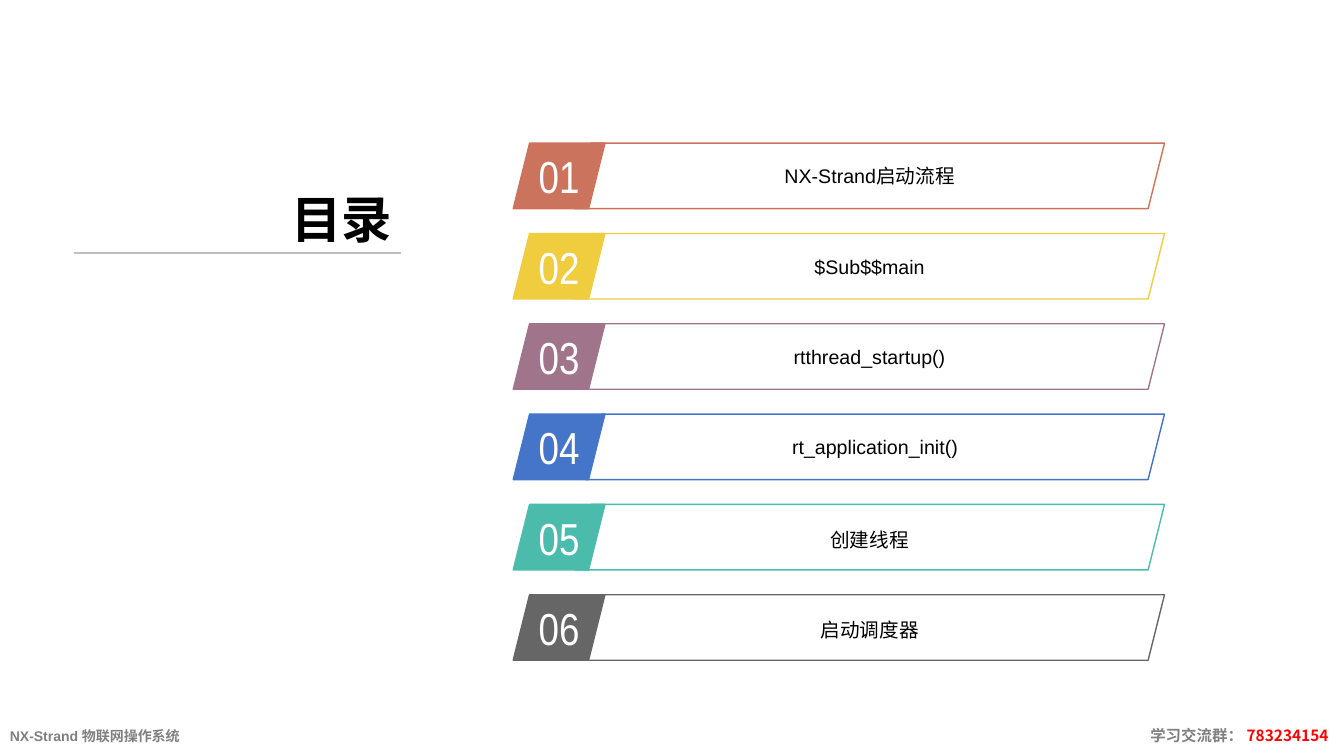
from lxml import etree
from pptx import Presentation
from pptx.dml.color import RGBColor
from pptx.enum.shapes import MSO_CONNECTOR, MSO_SHAPE
from pptx.enum.text import MSO_ANCHOR, PP_ALIGN
from pptx.oxml.ns import qn
from pptx.util import Inches, Pt

TITLE = "目录"
# label, colour, line spacing, left edge of the label frame
ITEMS = [
    ("NX-Strand启动流程", "coral", 1.0, 5.7),
    ("$Sub$$main", "yellow", 1.0, 5.7),
    ("rtthread_startup()", "mauve", 1.0, 5.7),
    ("rt_application_init()", "blue", 1.0, 5.81),
    ("创建线程", "teal", 1.2, 5.7),
    ("启动调度器", "dark", 1.2, 5.7),
]
BODY, NARROW, CJK = "Arial", "Arial Narrow", "Noto Sans CJK KR"
# text, size, font, colour
FOOTER = [
    ("NX-Strand 物联网操作系统\t", 10, BODY, "grey"),
    ("学习交流群： ", 11, BODY, "grey"),
    ("783234154", 11, CJK, "red"),
]
COLORS = {
    "coral": "CC735E", "yellow": "EFCD3F", "mauve": "A0758C",
    "blue": "4575C9", "teal": "4BBCAC", "dark": "666666",
    "rule": "BFBFBF", "grey": "808080", "red": "FF0000",
    "black": "000000", "white": "FFFFFF",
}
WIDTH, HEIGHT = 13.33, 7.5
FIRST_TOP, LAST_TOP, ROW_HEIGHT = 1.42, 5.9, 0.65
ROW_PITCH = (LAST_TOP - FIRST_TOP) / (len(ITEMS) - 1)
NUMBER_LEFT, NUMBER_WIDTH, LABEL_RIGHT = 5.09, 0.91, 11.55
FOOTER_HEIGHT, FOOTER_TAB = 0.4, 13.08
PARALLELOGRAM, STRAIGHT = MSO_SHAPE.PARALLELOGRAM, MSO_CONNECTOR.STRAIGHT
MIDDLE, BOTTOM = MSO_ANCHOR.MIDDLE, MSO_ANCHOR.BOTTOM
CENTER, LEFT, RIGHT = PP_ALIGN.CENTER, PP_ALIGN.LEFT, PP_ALIGN.RIGHT


def rgb(name):
    return RGBColor.from_string(COLORS[name])


def inches(*values):
    return [Inches(v) for v in values]


def style_run(r, size, font, color, bold=False):
    r.font.size, r.font.name, r.font.bold = Pt(size), font, bold
    r.font.color.rgb = rgb(color)
    latin = r._r.rPr.find(qn("a:latin"))
    ea = etree.Element(qn("a:ea"), typeface=CJK)
    latin.addnext(ea)


def set_text(sp, text, size, font, color, align, anchor, wrap, bold=False):
    tf = sp.text_frame
    tf.text = text
    tf.word_wrap, tf.vertical_anchor = wrap, anchor
    p = tf.paragraphs[0]
    p.alignment = align
    style_run(p.runs[0], size, font, color, bold)
    return p


def add_parallelogram(slide, box, color, filled):
    sp = slide.shapes.add_shape(PARALLELOGRAM, *inches(*box))
    sp.shadow.inherit = False
    sp.line.color.rgb, sp.line.width = rgb(color), Pt(1)
    if filled:
        sp.fill.solid()
        sp.fill.fore_color.rgb = rgb(color)
    else:
        sp.fill.background()
    return sp


def add_items(slide):
    for i, (label, color, spacing, left) in enumerate(ITEMS):
        top = FIRST_TOP + i * ROW_PITCH
        sp = add_parallelogram(
            slide, (NUMBER_LEFT, top, NUMBER_WIDTH, ROW_HEIGHT), color, True)
        set_text(sp, f"{i + 1:02d}", 32, NARROW, "white", CENTER, MIDDLE, False)
        sp = add_parallelogram(
            slide, (left, top, LABEL_RIGHT - left, ROW_HEIGHT), color, False)
        p = set_text(sp, label, 14, BODY, "black", CENTER, MIDDLE, True)
        p.line_spacing = spacing


def add_title(slide):
    title = slide.shapes.title
    title.left, title.top, title.width, title.height = inches(1.6, 1.42, 2.39, 1.1)
    set_text(title, TITLE, 36, BODY, "black", RIGHT, BOTTOM, False, bold=True)
    rule = slide.shapes.add_connector(STRAIGHT, *inches(0.73, 2.51, 3.98, 2.51))
    rule.line.color.rgb, rule.line.width = rgb("rule"), Pt(1.5)
    etree.SubElement(rule._element.spPr, qn("a:effectLst"))


def add_footer(slide):
    """One line whose second half is held at the right by a tab stop."""
    sp = slide.shapes.add_textbox(
        *inches(0, HEIGHT - FOOTER_HEIGHT, WIDTH, FOOTER_HEIGHT))
    tf = sp.text_frame
    tf.word_wrap, tf.vertical_anchor = True, MIDDLE
    p = tf.paragraphs[0]
    p.alignment = LEFT
    tabs = etree.SubElement(p._p.get_or_add_pPr(), qn("a:tabLst"))
    etree.SubElement(tabs, qn("a:tab"), pos=str(Inches(FOOTER_TAB)), algn="r")
    for text, size, font, color in FOOTER:
        r = p.add_run()
        r.text = text
        style_run(r, size, font, color, bold=True)


def main():
    prs = Presentation()
    prs.slide_width, prs.slide_height = inches(WIDTH, HEIGHT)
    slide = prs.slides.add_slide(prs.slide_layouts.get_by_name("Title Only"))
    add_items(slide)
    add_title(slide)
    add_footer(slide)
    prs.save("out.pptx")


if __name__ == "__main__":
    main()
